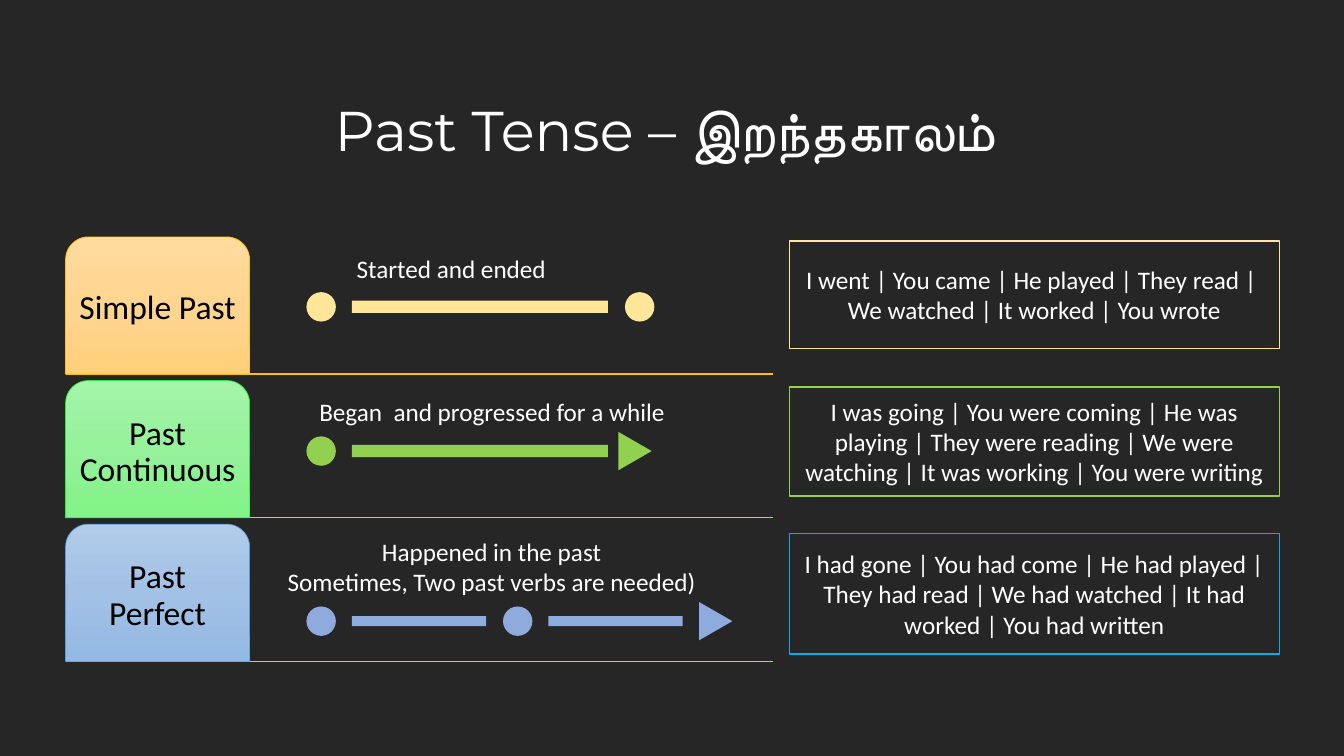
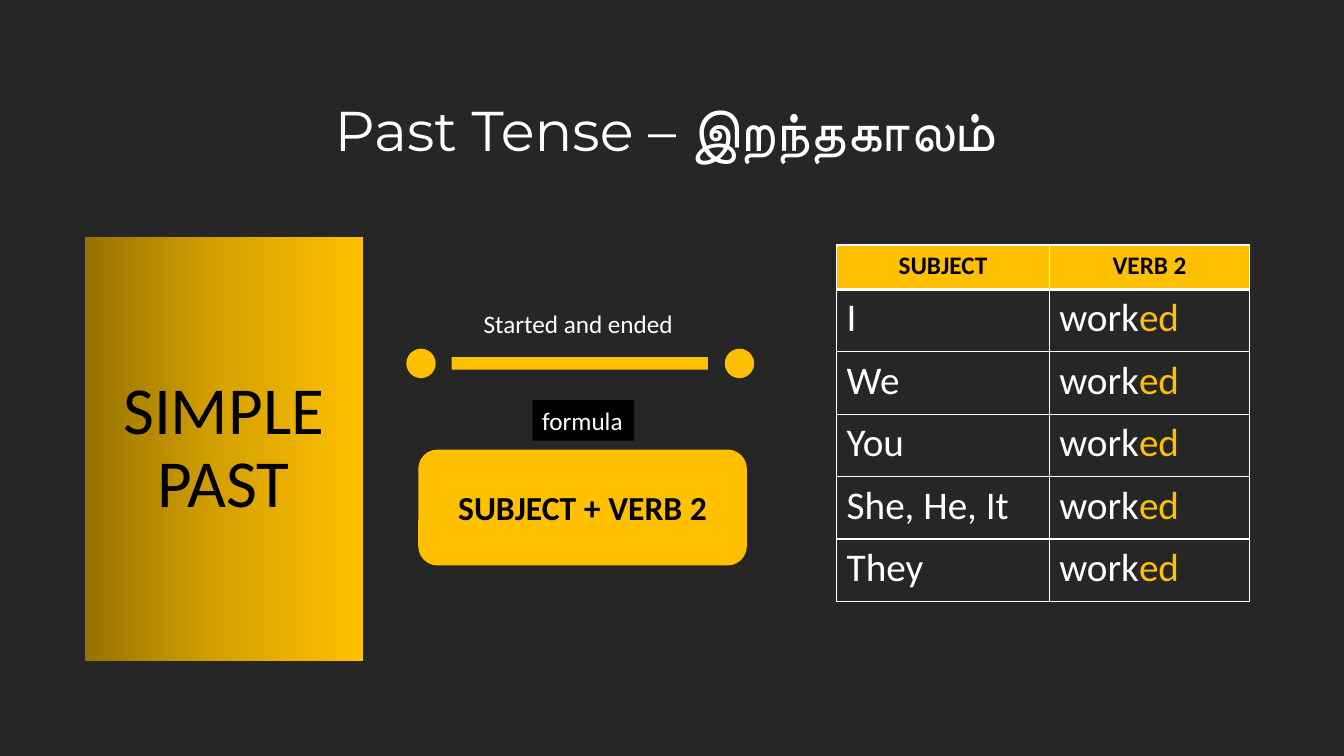
"""Builds two slides on the past tense."""
from copy import deepcopy
from dataclasses import dataclass

from lxml import etree
from pptx import Presentation
from pptx.dml.color import RGBColor
from pptx.enum import shapes as sh, text as tx
from pptx.oxml.ns import qn
from pptx.util import Pt

KIND, ALIGN = sh.MSO_SHAPE, tx.PP_ALIGN


@dataclass(frozen=True)
class Theme:
    back: str = "262626"
    white: str = "FFFFFF"
    black: str = "000000"
    gold: str = "FFC000"
    cream: str = "FFE699"
    green: str = "92D050"
    blue: str = "8FAADC"
    sky: str = "00B0F0"
    leaf: str = "30E845"
    steel: str = "5B9BD5"
    sand: tuple = ("FFDB9E", "FFD590", "FFD07C")
    mint: tuple = ("A4F4A9", "96F19B", "82F388")
    ice: tuple = ("B1CBE9", "A3C1E5", "93B9E4")
    amber: tuple = ("977200", "D7A200", "FFC000")
    head: str = "Montserrat"
    body: str = "Calibri"
    title: int = 40
    huge: int = 48
    cell: int = 28
    large: int = 24
    text: int = 18


T = Theme()


def rgb(code):
    return RGBColor.from_string(code)


def style(par, size, color, face=T.body, align=ALIGN.CENTER, bold=False):
    par.alignment = align
    font = par.font
    font.name, font.size, font.bold = face, Pt(size), bold
    font.color.rgb = rgb(color)


def write(frame, words, size, color, face=T.body, align=ALIGN.CENTER,
          bold=False, space=None):
    frame.text = words
    for par in frame.paragraphs:
        style(par, size, color, face, align, bold)
        if space:
            par.line_spacing = space


def inset(frame, gap):
    frame.margin_left = frame.margin_right = Pt(gap)
    frame.margin_top = frame.margin_bottom = Pt(gap)


def form(slide, kind, x, y, w, h, fill=None, line=None, thick=1):
    item = slide.shapes.add_shape(kind, Pt(x), Pt(y), Pt(w), Pt(h))
    item.shadow.inherit = False
    if fill:
        item.fill.solid()
        item.fill.fore_color.rgb = rgb(fill)
    else:
        item.fill.background()
    if line:
        item.line.color.rgb = rgb(line)
        item.line.width = Pt(thick)
    else:
        item.line.fill.background()
    item.text_frame.vertical_anchor = tx.MSO_ANCHOR.MIDDLE
    return item


def blend(item, colors, angle):
    item.fill.gradient()
    item.fill.gradient_angle = angle
    stops = item.element.spPr.find(".//" + qn("a:gsLst"))
    stops.insert(1, deepcopy(stops[0]))
    for stop, color, spot in zip(item.fill.gradient_stops, colors, (0, 0.5, 1)):
        stop.color.rgb = rgb(color)
        stop.position = spot


def rule(slide, x, y, end):
    line = slide.shapes.add_connector(
        sh.MSO_CONNECTOR.STRAIGHT, Pt(x), Pt(y), Pt(end), Pt(y))
    line.line.color.rgb = rgb(T.gold)
    line.line.width = Pt(1)
    etree.SubElement(line.element.spPr, qn("a:effectLst"))


def label(slide, words, x, y, w, h=29, align=ALIGN.LEFT, fill=None):
    if fill:
        box = form(slide, KIND.RECTANGLE, x, y, w, h, fill)
    else:
        box = slide.shapes.add_textbox(Pt(x), Pt(y), Pt(w), Pt(h))
    frame = box.text_frame
    write(frame, words, T.text, T.white, align=align)
    frame.word_wrap = False
    frame.auto_size = tx.MSO_AUTO_SIZE.SHAPE_TO_FIT_TEXT


def track(slide, x, mid, color, dots, bars, wide, tip=None, thick=8.8):
    """Draws dots and bars at offsets from x, with an arrow tip centred at tip."""
    size = 21
    for step in dots:
        form(slide, KIND.OVAL, x + step, mid - size / 2, size, size, color)
    for step in bars:
        form(slide, KIND.RECTANGLE, x + step, mid - thick / 2, wide, thick, color)
    if tip:
        w, h = 27.4, 23.8
        head = form(slide, KIND.ISOSCELES_TRIANGLE,
                    x + tip - w / 2, mid - h / 2, w, h, color)
        head.rotation = 90


def tab(slide, words, y, colors, line):
    item = form(slide, KIND.ROUND_2_SAME_RECTANGLE, 46.8, y, 131.5, 98,
                T.gold, line, 0.5)
    item.adjustments[0] = 0.167
    blend(item, colors, 270)
    inset(item.text_frame, 3.6)
    write(item.text_frame, words, T.large, T.black, space=0.9)


def sample(slide, words, y, h, line):
    box = form(slide, KIND.RECTANGLE, 563.8, y, 350, h, line=line)
    write(box.text_frame, words, T.text, T.white)


def edge(cell, top, base):
    props = cell._tc.get_or_add_tcPr()
    sides = (("L", 1), ("R", 1), ("T", top), ("B", base))
    for spot, (side, wide) in enumerate(sides):
        line = etree.Element(qn("a:ln" + side), w=str(Pt(wide)))
        fill = etree.SubElement(line, qn("a:solidFill"))
        etree.SubElement(fill, qn("a:srgbClr"), val=T.white)
        props.insert(spot, line)


def grid(slide, heads, names, stem, tail):
    wides, tall, short = (151.9, 143.3), 44.6, 31.7
    count = len(names) + 1
    table = slide.shapes.add_table(
        count, 2, Pt(597.6), Pt(175), Pt(sum(wides)),
        Pt(short + tall * len(names))).table
    table.first_row = table.horz_banding = False
    for col, wide in zip(table.columns, wides):
        col.width = Pt(wide)
    for spot, row in enumerate(table.rows):
        row.height = Pt(tall if spot else short)
    for cell, head in zip(table.rows[0].cells, heads):
        cell.fill.solid()
        cell.fill.fore_color.rgb = rgb(T.gold)
        write(cell.text_frame, head, T.text, T.black, bold=True)
        edge(cell, 1, 3)
    for spot, name in enumerate(names, 1):
        left, right = table.rows[spot].cells
        write(left.text_frame, name, T.cell, T.white, align=ALIGN.LEFT)
        write(right.text_frame, stem, T.cell, T.white, align=ALIGN.LEFT)
        end = right.text_frame.paragraphs[0].add_run()
        end.text = tail
        end.font.color.rgb = rgb(T.gold)
        for cell in (left, right):
            cell.fill.background()
            edge(cell, 3 if spot == 1 else 1, 1)


def page(deck):
    slide = deck.slides.add_slide(deck.slide_layouts[5])
    title = slide.shapes.title
    title.left, title.top = Pt(150.5), Pt(64.8)
    title.width, title.height = Pt(658.8), Pt(55.4)
    frame = title.text_frame
    frame.vertical_anchor = tx.MSO_ANCHOR.TOP
    frame.auto_size = tx.MSO_AUTO_SIZE.NONE
    write(frame, "Past Tense – இறந்தகாலம் ", T.title, T.white, T.head)
    return slide


def kinds(deck):
    slide = page(deck)
    top, pitch = 169.2, 102.6
    tabs = (("Simple Past", T.sand, T.gold),
            ("Past Continuous", T.mint, T.leaf),
            ("Past Perfect", T.ice, T.steel))
    for spot, (words, colors, line) in enumerate(tabs):
        y = top + spot * pitch
        rule(slide, 46.8, y + 98, 552.2)
        tab(slide, words, y, colors, line)

    x = 218.9
    track(slide, x, 219.2, T.cream, (0, 227.5), (32.4,), 183)
    track(slide, x, 322.2, T.green, (0,), (32.4,), 183, 234.7)
    track(slide, x, 443.7, T.blue, (0, 140.4), (32.4, 172.8), 96, 292.3, 7.2)
    label(slide, "Started and ended", 247.7, 177.1, 151.2)
    label(slide, "Began  and progressed for a while", 221, 279.4, 264.2)
    label(slide, "Happened in the past \nSometimes, Two past verbs are needed) ",
          193.7, 379.4, 319, 51, ALIGN.CENTER)

    samples = (
        ("I went | You came | He played | They read | \n"
         "We watched | It worked | You wrote", 77, T.cream),
        ("I was going | You were coming | He was playing | They were reading | "
         "We were watching | It was working | You were writing", 77.8, T.green),
        ("I had gone | You had come | He had played | They had read | "
         "We had watched | It had worked | You had written", 86.4, T.sky))
    for spot, (words, h, line) in enumerate(samples):
        sample(slide, words, 172.1 + spot * 104.4, h, line)


def simple(deck):
    slide = page(deck)
    panel = form(slide, KIND.RECTANGLE, 60.5, 169.2, 198.7, 303.1, T.gold)
    blend(panel, T.amber, 0)
    inset(panel.text_frame, 9.4)
    write(panel.text_frame, "SIMPLE PAST", T.huge, T.black, space=0.9)

    track(slide, 290.2, 259.6, T.gold, (0, 227.5), (32.4,), 183)
    label(slide, "Started and ended", 338.4, 216.7, 151.2)
    rule_box = form(slide, KIND.ROUNDED_RECTANGLE, 298.8, 321.1, 234.7, 82.8, T.gold)
    write(rule_box.text_frame, "SUBJECT + VERB 2", T.large, T.black, bold=True)
    label(slide, "formula", 380.2, 285.8, 72.7, fill=T.black)
    grid(slide, ("SUBJECT", "VERB 2"),
         ("I", "We", "You", "She, He, It", "They"), "work", "ed")


def main():
    deck = Presentation()
    deck.slide_width, deck.slide_height = Pt(960), Pt(540)
    fill = deck.slide_master.background.fill
    fill.solid()
    fill.fore_color.rgb = rgb(T.back)
    kinds(deck)
    simple(deck)
    deck.save("out.pptx")


if __name__ == "__main__":
    main()
